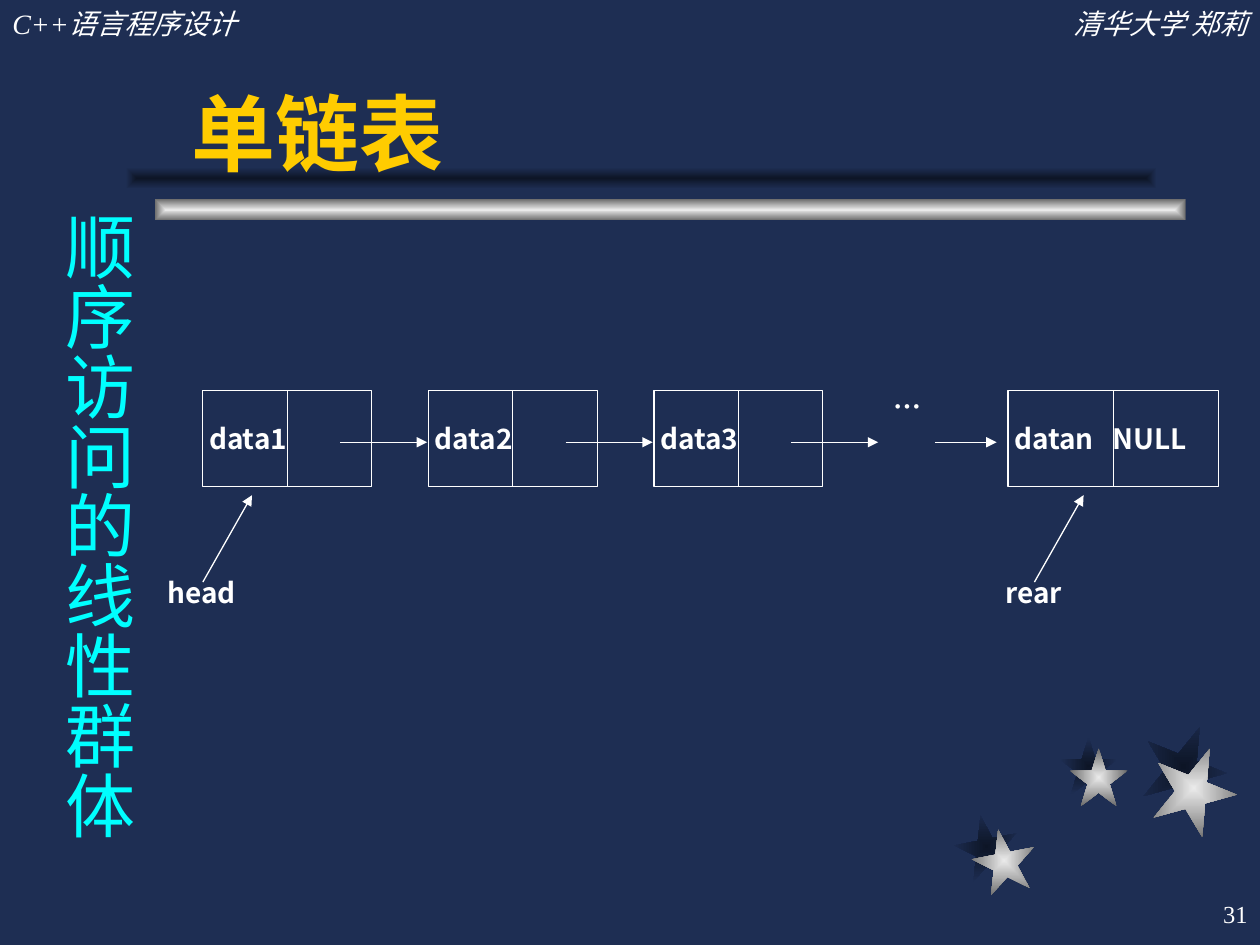
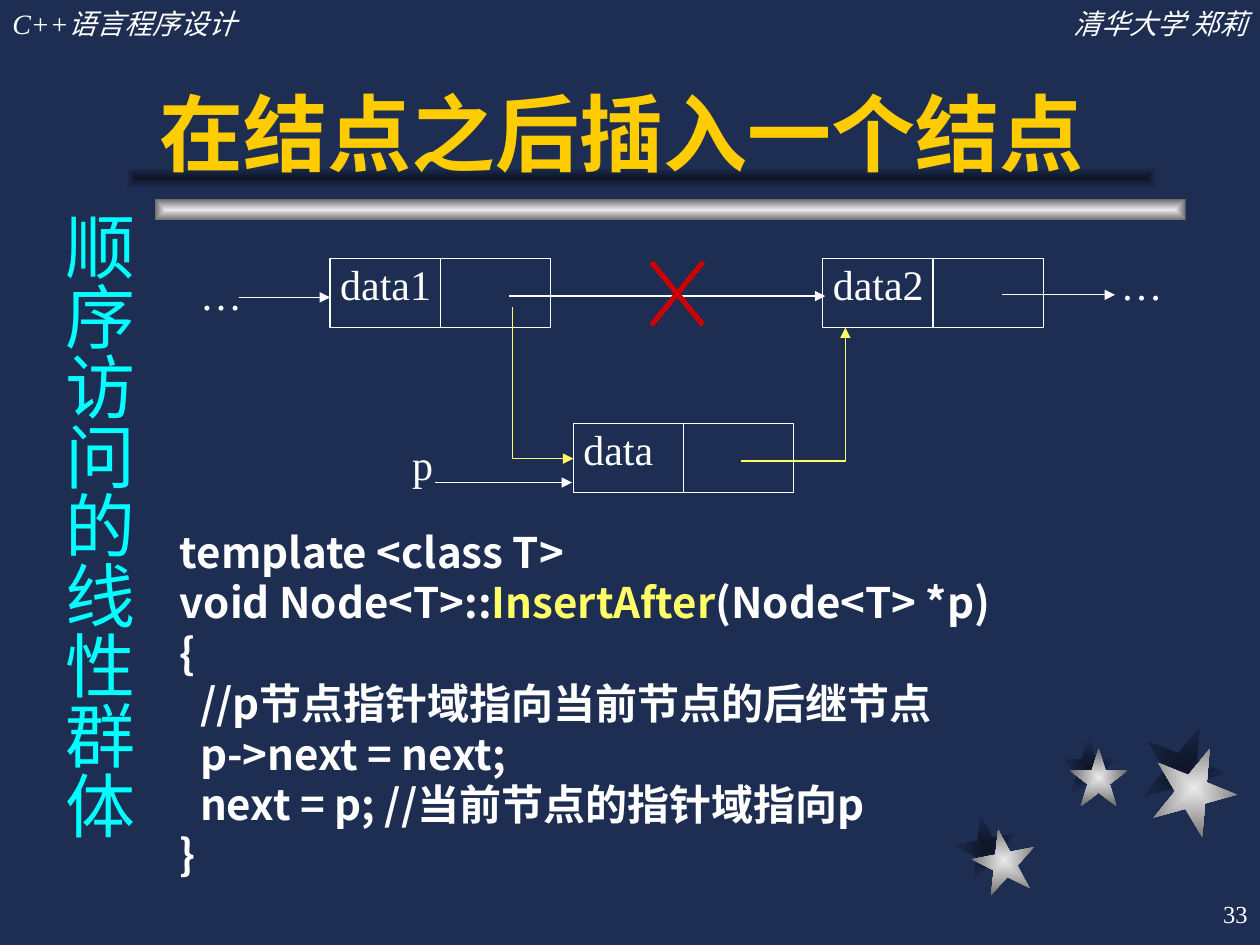
"""Build two lecture slides about singly linked lists."""
from dataclasses import dataclass

from lxml import etree
from pptx import Presentation
from pptx import util as u
from pptx.dml.color import RGBColor
from pptx.enum import shapes, text
from pptx.oxml.ns import qn


@dataclass(frozen=True)
class Style:
    """Type settings for one role of text."""
    size: int
    font: str
    color: str = "FFFFFF"
    bold: bool = False
    italic: bool = False
    leading: float = 0


@dataclass(frozen=True)
class Theme:
    """Colours and type sizes of the deck."""
    background: str = "1E2E53"
    ink: str = "FFFFFF"
    accent: str = "FFFF66"
    strike: str = "CC0000"
    metal: tuple = ("EAEAEA", "6B6B6B")
    shade: tuple = ("0D1526", "1E2E53")
    east_asian: str = "Noto Sans CJK SC"
    thin: float = 0.75
    thick: float = 3
    header: Style = Style(16, "Times New Roman", italic=True)
    title: Style = Style(48, "Arial", "FFCC00", bold=True)
    sidebar: Style = Style(40, "Noto Sans CJK SC", "00FFFF")
    page: Style = Style(14, "Times New Roman")
    label: Style = Style(16, "Noto Sans CJK SC", bold=True, leading=19.2)
    node: Style = Style(24, "Times New Roman")
    code: Style = Style(24, "Noto Sans CJK SC", bold=True, leading=28.8)


THEME = Theme()
PADDED = (0.1, 0.05, 0.1, 0.05)
FLUSH = (0, 0, 0, 0)
ALIGN = text.PP_ALIGN
ANCHOR = text.MSO_ANCHOR
STARS = [
    ((7.58, 6.47), (7.72, 6.58), 0.5, 349),
    ((8.41, 5.85), (8.49, 5.94), 0.46, 0),
    ((9.06, 5.75), (9.14, 5.92), 0.67, 22),
]
CODE = [
    (0, [("template <class T>", None)]),
    (0, [("void Node<T>::", None), ("InsertAfter", THEME.accent), ("(Node<T> *p)", None)]),
    (0, [("{", None)]),
    (0.16, [("//p节点指针域指向当前节点的后继节点", None)]),
    (0.16, [("p->next = next;", None)]),
    (0.16, [("next = p; //当前节点的指针域指向p", None)]),
    (0, [("}", None)]),
]


def inches(*lengths):
    """Convert several lengths to EMU."""
    return [u.Inches(length) for length in lengths]


def apply(target, values):
    """Set each attribute named in a dict of format values."""
    for name, value in values.items():
        setattr(target, name, value)


def add_run(paragraph, words, style, color=None):
    """Add one styled run to a paragraph."""
    run = paragraph.add_run()
    run.text = words
    apply(run.font, {"size": u.Pt(style.size), "name": style.font,
                     "bold": style.bold, "italic": style.italic})
    run.font.color.rgb = RGBColor.from_string(color or style.color)
    east_asian = etree.Element(qn("a:ea"), typeface=THEME.east_asian)
    run.font._element.find(qn("a:latin")).addnext(east_asian)


def write(shape, lines, style, align=ALIGN.LEFT, anchor=ANCHOR.TOP, insets=PADDED):
    """Fill a shape with text given as a string or as indented lines of runs."""
    if isinstance(lines, str):
        lines = [(0, [(lines, None)])]
    frame = shape.text_frame
    sides = ("margin_left", "margin_top", "margin_right", "margin_bottom")
    apply(frame, dict(zip(sides, inches(*insets))))
    apply(frame, {"word_wrap": True, "vertical_anchor": anchor})
    for number, (indent, runs) in enumerate(lines):
        paragraph = frame.add_paragraph() if number else frame.paragraphs[0]
        paragraph.alignment = align
        if style.leading:
            paragraph.line_spacing = u.Pt(style.leading)
        if indent:
            paragraph._p.get_or_add_pPr().set("marL", str(u.Inches(indent)))
        for words, color in runs:
            add_run(paragraph, words, style, color)


def add_label(slide, box, lines, style, **layout):
    """Add a text box."""
    label = slide.shapes.add_textbox(*inches(*box))
    write(label, lines, style, **layout)
    return label


def add_glow(slide, preset, box, colors, rotation=0):
    """Add a preset shape shaded from its centre outwards."""
    glow = slide.shapes.add_shape(preset, *inches(*box))
    glow.rotation = rotation
    glow.shadow.inherit = False
    glow.line.fill.background()
    glow.fill.gradient()
    for stop, color in zip(glow.fill.gradient_stops, colors):
        stop.color.rgb = RGBColor.from_string(color)
    gradient = glow._element.spPr.find(qn("a:gradFill"))
    gradient.remove(gradient.find(qn("a:lin")))
    centre = etree.SubElement(gradient, qn("a:path"), path="rect")
    etree.SubElement(centre, qn("a:fillToRect"), dict.fromkeys("ltrb", "50000"))


def set_line(shape, color, width, arrow=False):
    """Style an outline, with an arrowhead at its end if wanted."""
    shape.line.color.rgb = RGBColor.from_string(color)
    shape.line.width = u.Pt(width)
    if arrow:
        etree.SubElement(shape.line._get_or_add_ln(), qn("a:tailEnd"), type="triangle")


def add_line(slide, start, end, color=THEME.ink, width=THEME.thin, arrow=False):
    """Add a straight line."""
    line = slide.shapes.add_connector(shapes.MSO_CONNECTOR.STRAIGHT, *inches(*start, *end))
    set_line(line, color, width, arrow)
    etree.SubElement(line._element.spPr, qn("a:effectLst"))
    return line


def add_arrow(slide, start, end):
    """Add a thin pointer arrow."""
    return add_line(slide, start, end, arrow=True)


def add_bent_arrow(slide, *points):
    """Add a highlighted arrow that runs through the given points."""
    start, *rest = [inches(*point) for point in points]
    builder = slide.shapes.build_freeform(*start)
    builder.add_line_segments(rest, close=False)
    bent = builder.convert_to_shape()
    bent.shadow.inherit = False
    bent.fill.background()
    set_line(bent, THEME.accent, THEME.thin, arrow=True)


def add_node(slide, box, words, style, inset, anchor=ANCHOR.TOP):
    """Add a list node: a rectangle split into data and pointer halves."""
    node = slide.shapes.add_shape(shapes.MSO_SHAPE.RECTANGLE, *inches(*box))
    node.shadow.inherit = False
    node.fill.background()
    set_line(node, THEME.ink, THEME.thin)
    write(node, words, style, anchor=anchor, insets=(inset, 0, 0, 0))
    left, top, width, height = box
    middle = left + width / 2
    divider = add_line(slide, (middle, top), (middle, top + height))
    divider.begin_connect(node, 0)
    divider.end_connect(node, 2)
    return node


def add_tab_stop(shape, position):
    """Give the first paragraph of a shape one left tab stop."""
    properties = shape.text_frame.paragraphs[0]._p.get_or_add_pPr()
    stops = etree.SubElement(properties, qn("a:tabLst"))
    etree.SubElement(stops, qn("a:tab"), pos=str(u.Inches(position)), algn="l")


def add_base(deck, title, title_box, page):
    """Add a slide with the shared decoration, header, title and sidebar."""
    slide = deck.slides.add_slide(deck.slide_layouts[6])
    slide.background.fill.solid()
    slide.background.fill.fore_color.rgb = RGBColor.from_string(THEME.background)
    for shade_at, metal_at, size, rotation in STARS:
        for corner, colors in ((shade_at, THEME.shade), (metal_at, THEME.metal)):
            add_glow(slide, shapes.MSO_SHAPE.STAR_5_POINT, (*corner, size, size), colors, rotation)
    for corner, colors in (((1.23, 1.58), THEME.metal), ((1, 1.33), THEME.shade)):
        add_glow(slide, shapes.MSO_SHAPE.RECTANGLE, (*corner, 8.18, 0.17), colors)
    add_label(slide, (0, 0, 3.08, 0.37), "C++语言程序设计", THEME.header)
    add_label(slide, (6.92, 0, 3.08, 0.37), "清华大学 郑莉", THEME.header, align=ALIGN.RIGHT)
    add_label(slide, title_box, title, THEME.title, anchor=ANCHOR.BOTTOM)
    sidebar = add_label(slide, (0.3, 1.58, 0.86, 5.24), "顺序访问的线性群体",
                        THEME.sidebar, insets=(0.05, 0.1, 0.05, 0.1))
    sidebar.text_frame._txBody.bodyPr.set("vert", "eaVert")
    add_label(slide, (7.92, 7, 2.08, 0.5), page, THEME.page,
              align=ALIGN.RIGHT, anchor=ANCHOR.MIDDLE)
    return slide


def build_list_slide(deck):
    """Show a linked list from head to rear."""
    slide = add_base(deck, "单链表", (1.42, 0.25, 7.83, 1.25), "31")
    top, height, pointer_y = 3.1, 0.76, 3.51
    for index in range(3):
        left = 1.61 + 1.79 * index
        add_node(slide, (left, top, 1.34, height), f"data{index + 1}",
                 THEME.label, 0.05, ANCHOR.MIDDLE)
        add_arrow(slide, (left + 1.09, pointer_y), (left + 1.78, pointer_y))
    last = add_node(slide, (8, top, 1.67, height), "datan\tNULL",
                    THEME.label, 0.05, ANCHOR.MIDDLE)
    add_tab_stop(last, 0.78)
    add_label(slide, (6.83, 3.04, 0.74, 0.82), "…", THEME.label, align=ALIGN.CENTER)
    add_arrow(slide, (7.42, pointer_y), (7.91, pointer_y))
    for name, left, tail in (("head", 1.33, 1.61), ("rear", 7.98, 8.21)):
        add_label(slide, (left, 4.57, 0.88, 0.6), name, THEME.label, insets=FLUSH)
        add_arrow(slide, (tail, 4.62), (tail + 0.39, 3.93))


def build_insert_slide(deck):
    """Show how a node is inserted after another one."""
    slide = add_base(deck, "在结点之后插入一个结点", (1.17, 0.25, 8.33, 1.25), "33")
    for words, left, top in (("data1", 2.62, 2.05), ("data2", 6.53, 2.05), ("data", 4.55, 3.36)):
        add_node(slide, (left, top, 1.75, 0.55), words, THEME.node, 0.08)
    for start_x, end_x, y in ((4.04, 6.55, 2.35), (7.95, 8.85, 2.34),
                              (1.9, 2.62, 2.36), (3.45, 4.54, 3.83)):
        add_arrow(slide, (start_x, y), (end_x, y))
    add_label(slide, (8.58, 2, 0.96, 0.6), "…", THEME.node, align=ALIGN.CENTER)
    add_label(slide, (1.42, 2.13, 0.67, 0.43), "…", THEME.node,
              align=ALIGN.CENTER, insets=FLUSH)
    add_label(slide, (3.02, 3.48, 1.15, 0.44), "p", THEME.node, insets=(0.25, 0, 0, 0))
    add_bent_arrow(slide, (5.88, 3.66), (6.71, 3.66), (6.71, 2.6))
    add_bent_arrow(slide, (4.07, 2.44), (4.07, 3.64), (4.55, 3.64))
    for start_x, end_x in ((5.58, 5.17), (5.17, 5.58)):
        add_line(slide, (start_x, 2.08), (end_x, 2.58), THEME.strike, THEME.thick)
    add_label(slide, (1.33, 4.13, 8.17, 2.9), CODE, THEME.code)


def main():
    """Build and save the deck."""
    deck = Presentation()
    apply(deck, {"slide_width": u.Inches(10), "slide_height": u.Inches(7.5)})
    build_list_slide(deck)
    build_insert_slide(deck)
    deck.save("out.pptx")


if __name__ == "__main__":
    main()
